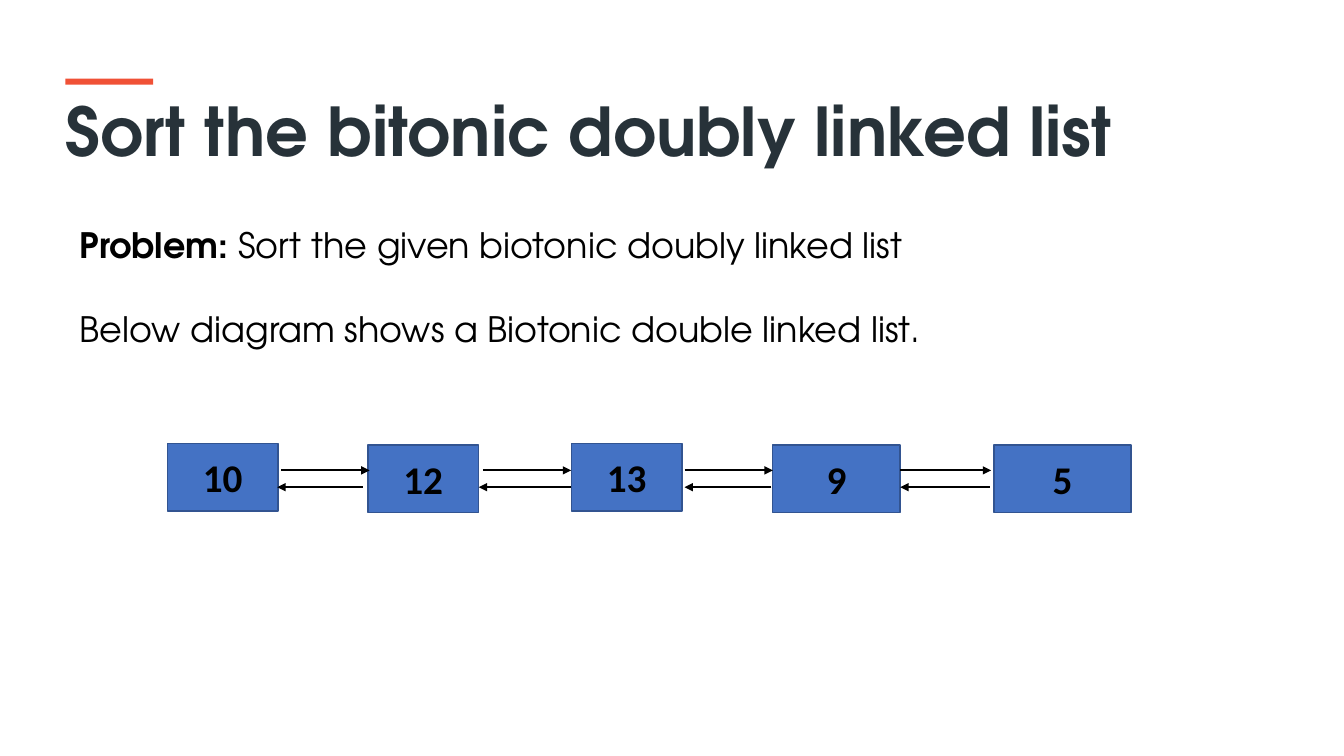
from pptx import Presentation
from pptx.dml.color import RGBColor
from pptx.enum.shapes import MSO_CONNECTOR, MSO_SHAPE
from pptx.enum.text import MSO_ANCHOR, PP_ALIGN
from pptx.oxml.ns import qn
from pptx.util import Pt
from lxml.etree import SubElement

COLORS = {
    "title": "273239",
    "accent": "F05136",
    "node": "4472C4",
    "node_line": "325491",
    "ink": "000000",
}
HEADING_FONT = "TeX Gyre Adventor"
TITLE_FORMAT = {"name": HEADING_FONT, "size": Pt(48), "bold": True}
BODY_FORMAT = {"name": HEADING_FONT, "size": Pt(25)}
NODE_FORMAT = {"name": "Calibri", "size": Pt(28), "bold": True}
FRAME_FORMAT = {
    "word_wrap": True,
    "vertical_anchor": MSO_ANCHOR.TOP,
    "margin_left": Pt(5),
    "margin_right": Pt(5),
}


def format_font(font, values, color):
    for name, value in values.items():
        setattr(font, name, value)
    font.color.rgb = RGBColor.from_string(COLORS[color])


def add_rectangle(left, top, width, height, fill):
    shape = slide.shapes.add_shape(
        MSO_SHAPE.RECTANGLE, Pt(left), Pt(top), Pt(width), Pt(height))
    shape.shadow.inherit = False
    shape.fill.solid()
    shape.fill.fore_color.rgb = RGBColor.from_string(COLORS[fill])
    shape.line.fill.background()
    return shape


presentation = Presentation()
presentation.slide_width, presentation.slide_height = Pt(960), Pt(540)
slide = presentation.slides.add_slide(presentation.slide_layouts[5])

# Title and accent bar
title = slide.shapes.title
title.left, title.top, title.width, title.height = Pt(41.8), Pt(60.5), Pt(877), Pt(65.5)
title.text_frame.text = "Sort the bitonic doubly linked list"
title_paragraph = title.text_frame.paragraphs[0]
title_paragraph.alignment = PP_ALIGN.LEFT
format_font(title_paragraph.font, TITLE_FORMAT, "title")
add_rectangle(46.8, 56.2, 62.6, 4.3, "accent")

# Problem statement
body = slide.shapes.add_textbox(Pt(51.8), Pt(156), Pt(874), Pt(98))
for frame in (title.text_frame, body.text_frame):
    for name, value in FRAME_FORMAT.items():
        setattr(frame, name, value)

problem = body.text_frame.paragraphs[0]
diagram_note = body.text_frame.add_paragraph()
diagram_note.space_before = Pt(30)
for paragraph, text, bold in (
    (problem, "Problem: ", True),
    (problem, "Sort the given biotonic doubly linked list", False),
    (diagram_note, "Below diagram shows a Biotonic double linked list.", False),
):
    run = paragraph.add_run()
    run.text = text
    format_font(run.font, BODY_FORMAT, "ink")
    run.font.bold = bold

# List nodes: value, left, top, width
for value, left, top, width in (
    ("10", 119.5, 316.8, 79),
    ("12", 262.8, 318, 79),
    ("13", 408.2, 316.8, 79),
    ("9", 552, 318, 91),
    ("5", 710, 318, 98),
):
    node = add_rectangle(left, top, width, 48.2, "node")
    node.line.color.rgb = RGBColor.from_string(COLORS["node_line"])
    node.line.width = Pt(1)
    node.text_frame.text = value
    node.text_frame.vertical_anchor = MSO_ANCHOR.MIDDLE
    node_paragraph = node.text_frame.paragraphs[0]
    node_paragraph.alignment = PP_ALIGN.CENTER
    format_font(node_paragraph.font, NODE_FORMAT, "ink")

# Next links run right on the upper row, previous links run left below
NEXT_LINKS = ((201, 264), (345, 408), (489, 552), (643, 708))
PREVIOUS_LINKS = ((259, 198), (408, 342), (551, 489), (707, 643))
for y, links in ((336, NEXT_LINKS), (348, PREVIOUS_LINKS)):
    for start, end in links:
        arrow = slide.shapes.add_connector(
            MSO_CONNECTOR.STRAIGHT, Pt(start), Pt(y), Pt(end), Pt(y))
        arrow.line.color.rgb = RGBColor.from_string(COLORS["ink"])
        arrow.line.width = Pt(1.5)
        SubElement(arrow.line._get_or_add_ln(), qn("a:tailEnd"), type="triangle")
        SubElement(arrow._element.spPr, qn("a:effectLst"))

presentation.save("out.pptx")
